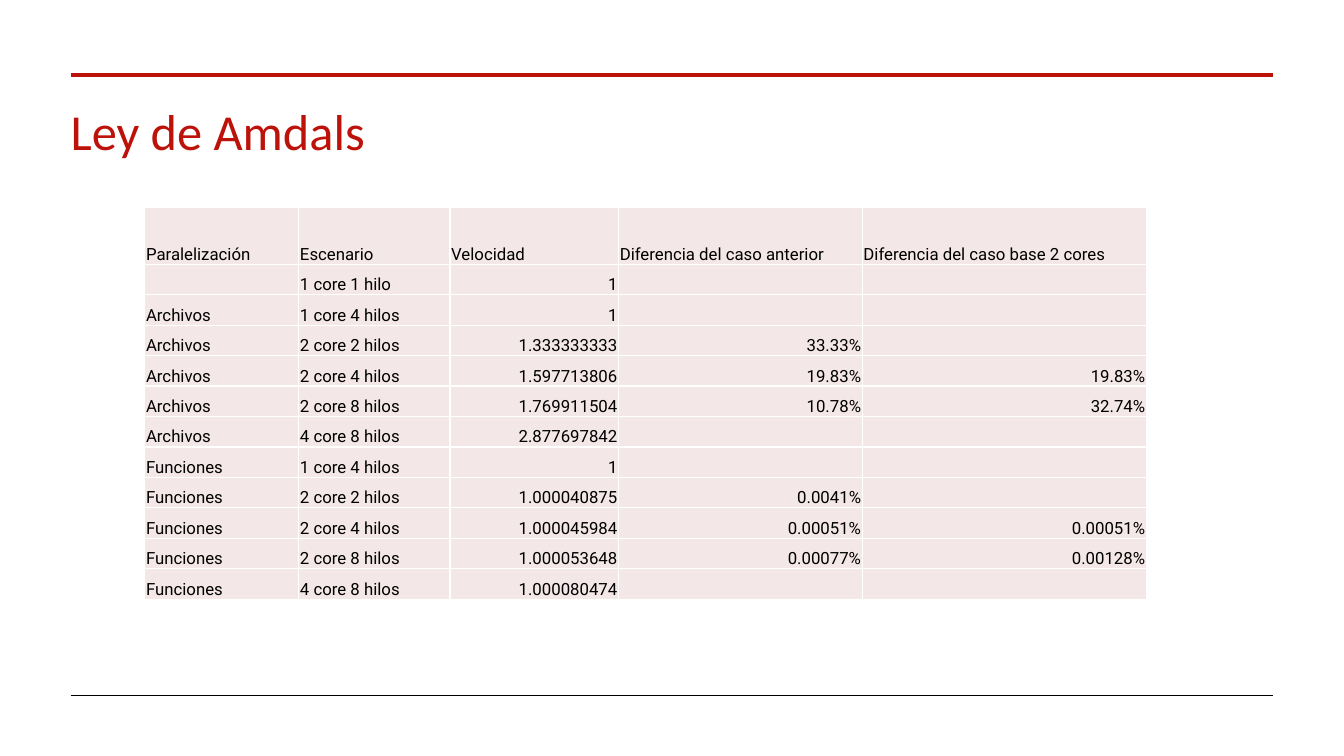
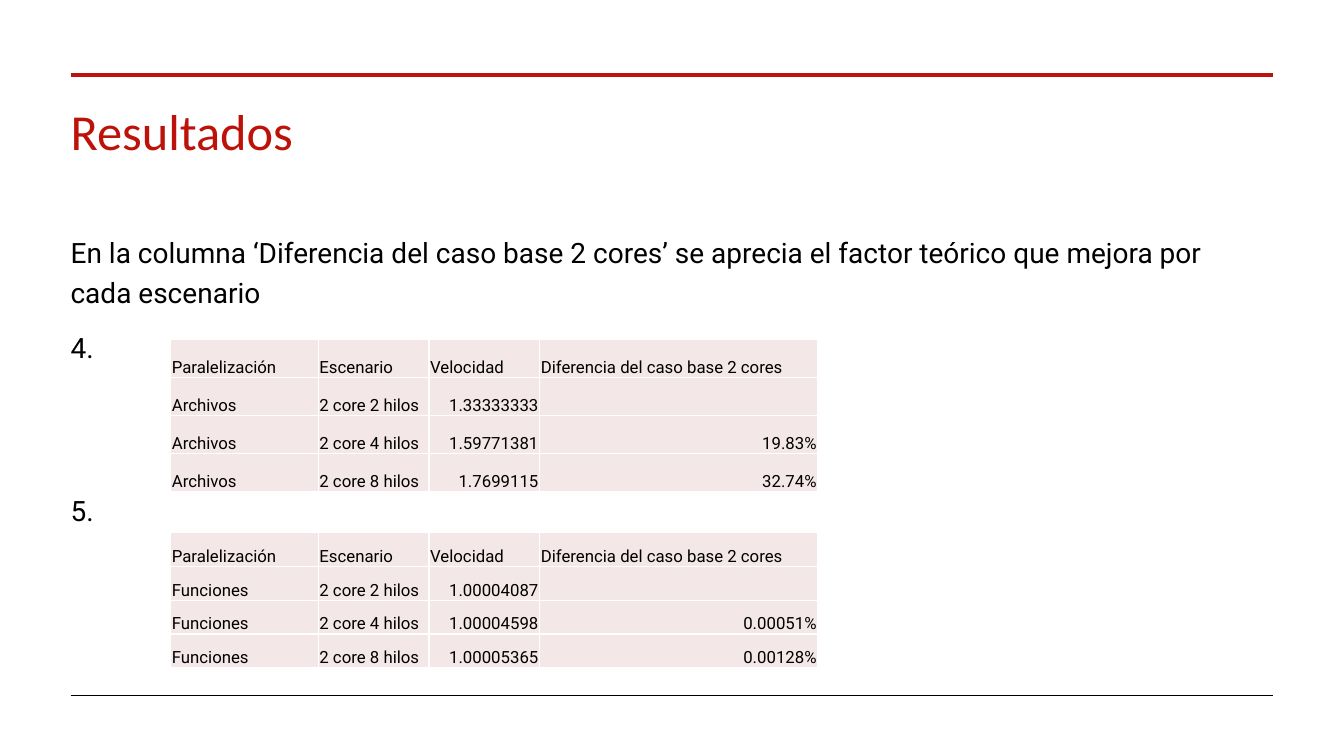
import lxml.etree
import pptx
import pptx.dml.color
import pptx.enum.shapes
import pptx.enum.text
import pptx.oxml.ns
import pptx.util

Cm = pptx.util.Cm
Pt = pptx.util.Pt
qn = pptx.oxml.ns.qn
ALIGN = pptx.enum.text.PP_ALIGN

# Shared colours and fonts
RED = pptx.dml.color.RGBColor(0xBD, 0x12, 0x09)
BLACK = pptx.dml.color.RGBColor(0x00, 0x00, 0x00)
WHITE = pptx.dml.color.RGBColor(0xFF, 0xFF, 0xFF)
PINK = pptx.dml.color.RGBColor(0xF4, 0xE7, 0xE7)
HEAD_FONT = "Calibri"
BODY_FONT = "Roboto"

# Shared edges, in centimetres
LEFT, RIGHT = 1.78, 32.08
BOX_LEFT, BOX_WIDTH = 1.53, 30.55

# Table content
SPEEDUP = [
    ("Paralelización", "Escenario", "Velocidad",
     "Diferencia del caso anterior", "Diferencia del caso base 2 cores"),
    ("", "1 core 1 hilo", "1", "", ""),
    ("Archivos", "1 core 4 hilos", "1", "", ""),
    ("Archivos", "2 core 2 hilos", "1.333333333", "33.33%", ""),
    ("Archivos", "2 core 4 hilos", "1.597713806", "19.83%", "19.83%"),
    ("Archivos", "2 core 8 hilos", "1.769911504", "10.78%", "32.74%"),
    ("Archivos", "4 core 8 hilos", "2.877697842", "", ""),
    ("Funciones", "1 core 4 hilos", "1", "", ""),
    ("Funciones", "2 core 2 hilos", "1.000040875", "0.0041%", ""),
    ("Funciones", "2 core 4 hilos", "1.000045984", "0.00051%", "0.00051%"),
    ("Funciones", "2 core 8 hilos", "1.000053648", "0.00077%", "0.00128%"),
    ("Funciones", "4 core 8 hilos", "1.000080474", "", ""),
]
SHORT_HEAD = ("Paralelización", "Escenario", "Velocidad",
              "Diferencia del caso base 2 cores")
FILES = [
    SHORT_HEAD,
    ("Archivos", "2 core 2 hilos", "1.33333333", ""),
    ("Archivos", "2 core 4 hilos", "1.59771381", "19.83%"),
    ("Archivos", "2 core 8 hilos", "1.7699115", "32.74%"),
]
TASKS = [
    SHORT_HEAD,
    ("Funciones", "2 core 2 hilos", "1.00004087", ""),
    ("Funciones", "2 core 4 hilos", "1.00004598", "0.00051%"),
    ("Funciones", "2 core 8 hilos", "1.00005365", "0.00128%"),
]


def style(para, font, size, color):
    for run in para.runs:
        run.font.name = font
        run.font.size = Pt(size)
        run.font.color.rgb = color


def add_rule(slide, top, color, width):
    rule = slide.shapes.add_connector(
        pptx.enum.shapes.MSO_CONNECTOR.STRAIGHT,
        Cm(LEFT), Cm(top), Cm(RIGHT), Cm(top))
    rule.line.color.rgb = color
    rule.line.width = Pt(width)
    lxml.etree.SubElement(rule._element.spPr, qn("a:effectLst"))


def add_box(slide, top, height):
    box = slide.shapes.add_textbox(
        Cm(BOX_LEFT), Cm(top), Cm(BOX_WIDTH), Cm(height))
    box.text_frame.word_wrap = True
    return box.text_frame


def add_page(deck, title):
    """Blank slide with both rules and the title."""
    slide = deck.slides.add_slide(deck.slide_layouts[6])
    add_rule(slide, 1.88, RED, 3)
    add_rule(slide, 17.52, BLACK, 0.5)
    frame = add_box(slide, 2.64, 3)
    frame.text = title
    frame.paragraphs[0].line_spacing = 0.85
    style(frame.paragraphs[0], HEAD_FONT, 36, RED)
    return slide


def add_body(slide, items):
    """Body text from pairs of wording and space before in points."""
    frame = add_box(slide, 5.64, 11.2)
    frame.text = "\n".join(text for text, gap in items)
    for para, (text, gap) in zip(frame.paragraphs, items):
        para.line_spacing = 1.2
        para.space_before = Pt(gap)
        style(para, BODY_FONT, 20, BLACK)


def add_edges(cell):
    props = cell._tc.get_or_add_tcPr()
    for side in ("L", "R", "T", "B"):
        edge = lxml.etree.SubElement(props, qn("a:ln" + side), w=str(Pt(1)))
        fill = lxml.etree.SubElement(edge, qn("a:solidFill"))
        lxml.etree.SubElement(fill, qn("a:srgbClr"), val=str(WHITE))


def fill_cell(cell, text, align):
    add_edges(cell)
    cell.fill.solid()
    cell.fill.fore_color.rgb = PINK
    cell.margin_left = cell.margin_right = cell.margin_top = Cm(0.03)
    cell.margin_bottom = 0
    cell.vertical_anchor = pptx.enum.text.MSO_ANCHOR.BOTTOM
    cell.text_frame.text = text
    para = cell.text_frame.paragraphs[0]
    para.alignment = align
    style(para, BODY_FONT, 12, BLACK)
    if not text:
        # Keeps an empty cell as low as its row
        lxml.etree.SubElement(para._p, qn("a:endParaRPr"), sz="1200")


def add_grid(slide, left, top, widths, first, height, rows):
    """Table whose rows below the first share the remaining height."""
    grid = slide.shapes.add_table(
        len(rows), len(widths), Cm(left), Cm(top),
        Cm(sum(widths)), Cm(height)).table
    grid.first_row = grid.horz_banding = False
    for col, width in zip(grid.columns, widths):
        col.width = Cm(width)
    rest = (height - first) / (len(rows) - 1)
    for r, row in enumerate(rows):
        grid.rows[r].height = Cm(rest if r else first)
        for c, text in enumerate(row):
            number = r > 0 and c > 1
            fill_cell(grid.cell(r, c), text,
                      ALIGN.RIGHT if number else ALIGN.LEFT)


def main():
    deck = pptx.Presentation()
    deck.slide_width, deck.slide_height = Cm(33.87), Cm(19.05)

    # Full comparison
    slide = add_page(deck, "Ley de Amdals")
    add_grid(slide, 3.65, 5.22, (3.88, 3.81, 4.25, 6.14, 7.16),
             1.44, 9.88, SPEEDUP)

    # Gain over the two-core case
    slide = add_page(deck, "Resultados")
    add_body(slide, [
        ("En la columna ‘Diferencia del caso base 2 cores’ se aprecia "
         "el factor teórico que mejora por cada escenario", 10),
        ("4.", 10),
        ("5.", 88),
    ])
    for top, height, rows in ((8.55, 3.83, FILES), (13.42, 3.41, TASKS)):
        add_grid(slide, 4.3, top, (3.72, 2.79, 2.79, 7.01),
                 height / len(rows), height, rows)

    deck.save("out.pptx")


if __name__ == "__main__":
    main()
